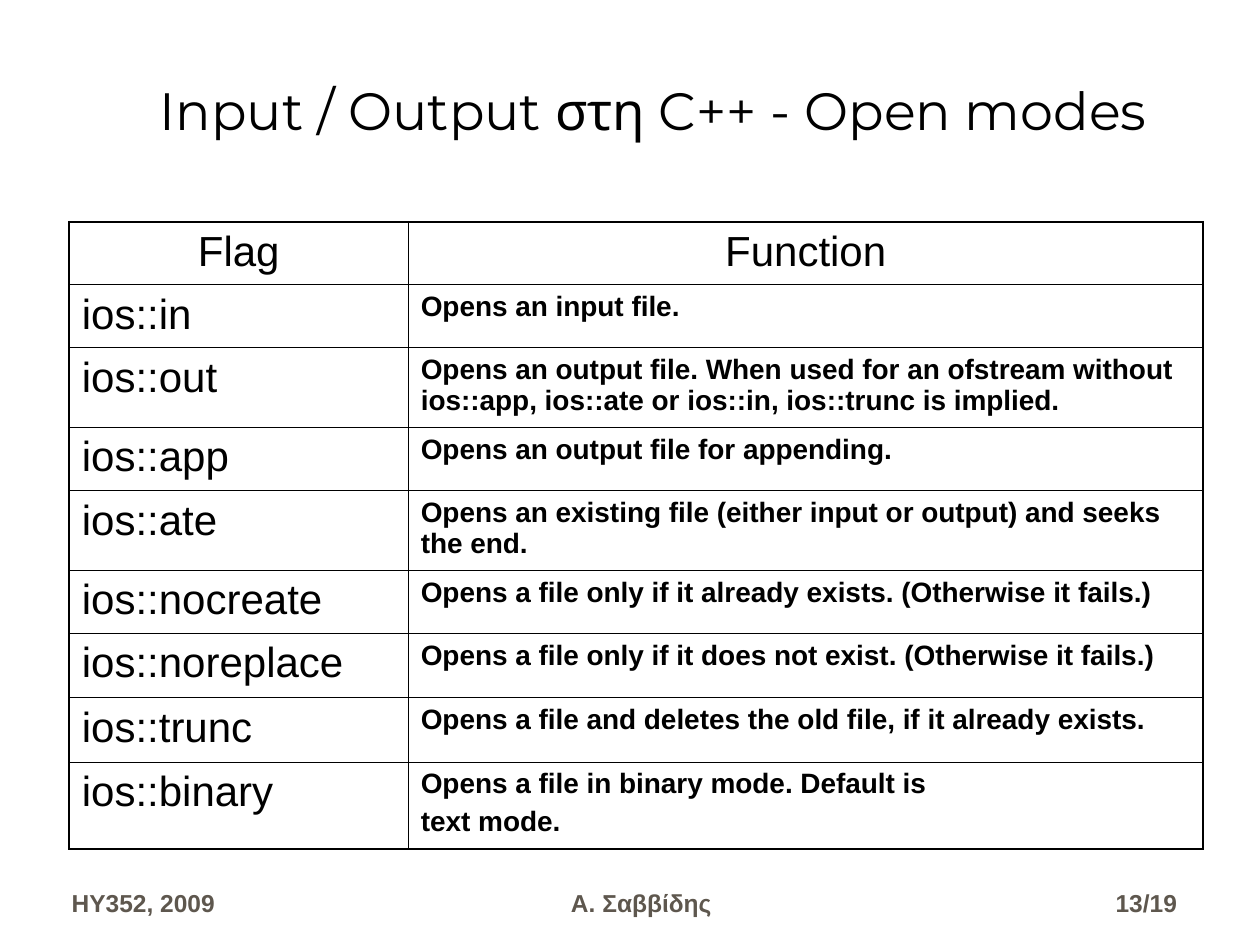
from lxml.etree import SubElement
from pptx import Presentation
from pptx.dml.color import RGBColor as RGB
from pptx.enum.text import MSO_ANCHOR as ANCHOR, PP_ALIGN as ALIGN
from pptx.oxml.ns import qn
from pptx.util import Inches, Pt

COLORS = {"text": "000000", "border": "000000", "footer": "5E574E"}
THIN, THICK = 0.45, 1.08
MODES = [
    ("Flag", "Function"),
    ("ios::in", "Opens an input file."),
    ("ios::out", "Opens an output file. When used for an ofstream without "
                 "ios::app, ios::ate or ios::in, ios::trunc is implied."),
    ("ios::app", "Opens an output file for appending."),
    ("ios::ate", "Opens an existing file (either input or output) and seeks the end."),
    ("ios::nocreate", "Opens a file only if it already exists. (Otherwise it fails.)"),
    ("ios::noreplace", "Opens a file only if it does not exist. (Otherwise it fails.)"),
    ("ios::trunc", "Opens a file and deletes the old file, if it already exists."),
    ("ios::binary", "Opens a file in binary mode. Default is\ntext mode."),
]
COL_WIDTHS = [2.69, 6.31]
ROW_HEIGHTS = [0.5, 0.5, 0.63, 0.5, 0.63, 0.5, 0.51, 0.51, 0.69]


def write(tf, text, size, font, color, bold=False, align=ALIGN.LEFT, gap=0):
    tf.text = text
    for i, p in enumerate(tf.paragraphs):
        p.alignment = align
        p.space_before = Pt(gap if i else 0)
        for r in p.runs:
            r.font.size, r.font.name, r.font.bold = Pt(size), font, bold
            r.font.color.rgb = RGB.from_string(COLORS[color])


def add_text(s, box, text, size, font, color, **style):
    tf = s.shapes.add_textbox(*map(Inches, box)).text_frame
    tf.word_wrap = True
    tf.vertical_anchor = ANCHOR.BOTTOM
    write(tf, text, size, font, color, **style)


def set_borders(cell, outer):
    tcPr = cell._tc.get_or_add_tcPr()
    for side in "LRTB":
        width = Pt(THICK if side in outer else THIN)
        ln = SubElement(tcPr, qn(f"a:ln{side}"), w=str(width))
        fill = SubElement(ln, qn("a:solidFill"))
        SubElement(fill, qn("a:srgbClr"), val=COLORS["border"])


def add_modes_table(s, box):
    last = len(MODES) - 1
    table = s.shapes.add_table(len(MODES), 2, *map(Inches, box)).table
    table.first_row = table.horz_banding = False
    for col, width in zip(table.columns, COL_WIDTHS):
        col.width = Inches(width)
    for i, texts in enumerate(MODES):
        table.rows[i].height = Inches(ROW_HEIGHTS[i])
        for j, text in enumerate(texts):
            cell = table.cell(i, j)
            outer = "LR"[j] + ("T" if i == 0 else "B" if i == last else "")
            set_borders(cell, outer)
            cell.fill.background()
            detail = i > 0 and j == 1
            write(cell.text_frame, text, 16 if detail else 24, "Arial", "text",
                  bold=detail, align=ALIGN.LEFT if i else ALIGN.CENTER, gap=4)


def add_footer(s, top, height):
    parts = [
        (0.47, 1.63, "HY352, 2009", ALIGN.LEFT),
        (2.18, 5.82, "Α. Σαββίδης", ALIGN.CENTER),
        (8.07, 1.37, "13/19", ALIGN.RIGHT),
    ]
    for left, width, text, align in parts:
        add_text(s, (left, top, width, height), text, 14, "Arial", "footer",
                 bold=True, align=align)


def add_title(s, box):
    s.shapes.title.left, s.shapes.title.top = map(Inches, box[:2])
    s.shapes.title.width, s.shapes.title.height = map(Inches, box[2:])


def main():
    prs = Presentation()
    prs.slide_width, prs.slide_height = Inches(10), Inches(7.5)
    s = prs.slides.add_slide(prs.slide_layouts[6])
    add_text(s, (1.17, 0.17, 8.92, 1), "Input / Output στη C++ - Open modes",
             30, "Montserrat", "text")
    add_modes_table(s, (0.55, 1.76, sum(COL_WIDTHS), sum(ROW_HEIGHTS)))
    add_footer(s, 6.83, 0.5)
    prs.save("out.pptx")


if __name__ == "__main__":
    main()
